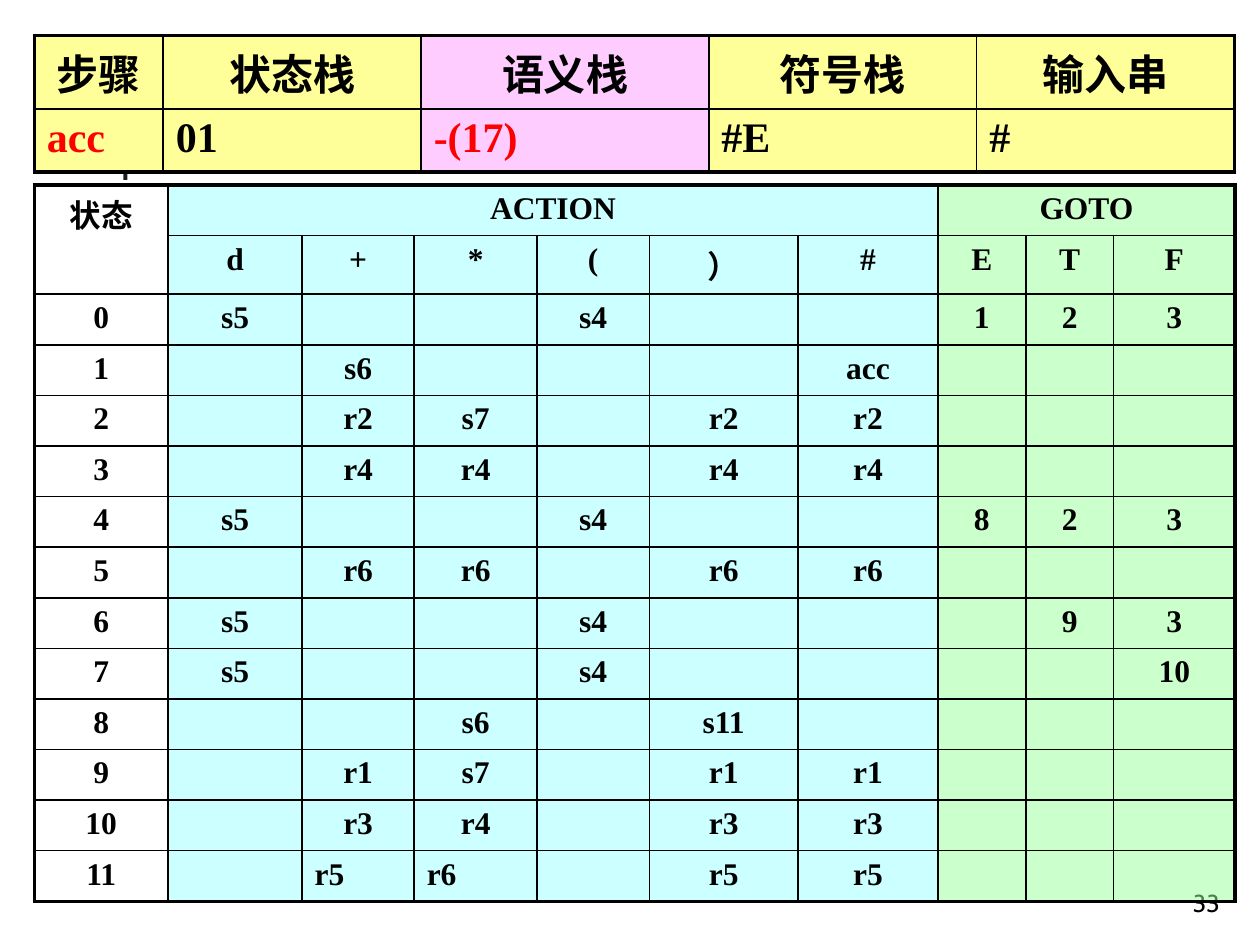
import pptx
import pptx.util
import pptx.dml.color
import pptx.enum.shapes
import pptx.enum.text
import pptx.oxml.ns
from lxml import etree

Cm, Pt = pptx.util.Cm, pptx.util.Pt
RGB = pptx.dml.color.RGBColor
ALIGN = pptx.enum.text.PP_ALIGN
RECT = pptx.enum.shapes.MSO_SHAPE.RECTANGLE
qn = pptx.oxml.ns.qn

BLACK = RGB(0x00, 0x00, 0x00)
WHITE = RGB(0xFF, 0xFF, 0xFF)
INK = RGB(0x1C, 0x1C, 0x1C)
RED = RGB(0xFF, 0x00, 0x00)
GOLD = RGB(0xFF, 0xCF, 0x01)
BLUE = RGB(0x33, 0x33, 0xCC)
YELLOW = RGB(0xFF, 0xFF, 0x99)
PINK = RGB(0xFF, 0xCC, 0xFF)
CYAN = RGB(0xCC, 0xFF, 0xFF)
GREEN = RGB(0x99, 0xFF, 0x99)
FONT = "Times New Roman"

# Theme motif: left, top, width, height, colours, gradient angle
MOTIF = [
    (1.55, 1.02, 1.22, 1.32, [GOLD], 0),
    (2.62, 1.02, 0.91, 1.32, [GOLD, WHITE], 0),
    (1.88, 2.18, 1.17, 1.32, [BLUE], 0),
    (2.92, 2.18, 1.02, 1.32, [BLUE, WHITE], 0),
    (0.74, 1.98, 1.55, 1.17, [WHITE, RED], 45),
    (2.49, 0.71, 0.08, 2.92, [INK], 0),
    (1.63, 2.92, 22.86, 0.08, [INK, WHITE], 0),
]

# Content: the parser stacks
STACK = [
    ["步骤", "状态栈", "语义栈", "符号栈", "输入串"],
    ["acc", "01", "-(17)", "#E", "#"],
]
STACK_COLS = [2.6, 5.2, 5.8, 5.4, 5.2]
STACK_FILLS = [YELLOW, YELLOW, PINK, YELLOW, YELLOW]
STACK_HIGHS = [1.48, 1.27]
RED_TEXT = ("acc", "-(17)")

# Content: the SLR table, one state a row
HEADS = [
    ["状态", "ACTION", "", "", "", "", "", "GOTO", "", ""],
    ["", "d", "+", "*", "(", "）", "#", "E", "T", "F"],
]
STATES = [
    ["s5", "", "", "s4", "", "", "1", "2", "3"],
    ["", "s6", "", "", "", "acc", "", "", ""],
    ["", "r2", "s7", "", "r2", "r2", "", "", ""],
    ["", "r4", "r4", "", "r4", "r4", "", "", ""],
    ["s5", "", "", "s4", "", "", "8", "2", "3"],
    ["", "r6", "r6", "", "r6", "r6", "", "", ""],
    ["s5", "", "", "s4", "", "", "", "9", "3"],
    ["s5", "", "", "s4", "", "", "", "", "10"],
    ["", "", "s6", "", "s11", "", "", "", ""],
    ["", "r1", "s7", "", "r1", "r1", "", "", ""],
    ["", "r3", "r4", "", "r3", "r3", "", "", ""],
    ["", "r5", "r6", "", "r5", "r5", "", "", ""],
]
PARSE = HEADS + [[str(n)] + row for n, row in enumerate(STATES)]
PARSE_COLS = [2.7, 2.7, 2.26, 2.48, 2.26, 3, 2.82, 1.77, 1.77, 2.45]
PARSE_FILLS = [None] + [CYAN] * 6 + [GREEN] * 3
PARSE_HIGHS = [1.02, 1.18] + [1.02] * len(STATES)
# First cell of a merge: its last cell
MERGES = {(0, 0): (1, 0), (0, 1): (0, 6), (0, 7): (0, 9)}
LEFT_CELLS = [(13, 2), (13, 3)]


def add_block(slide, left, top, width, high, colors, angle):
    block = slide.shapes.add_shape(RECT, Cm(left), Cm(top), Cm(width), Cm(high))
    block.shadow.inherit = False
    block.line.fill.background()
    if len(colors) == 1:
        block.fill.solid()
        block.fill.fore_color.rgb = colors[0]
        return
    block.fill.gradient()
    block.fill.gradient_angle = angle
    for stop, color in zip(block.fill.gradient_stops, colors):
        stop.color.rgb = color


def set_edge(cell, side, width):
    line = etree.SubElement(cell._tc.get_or_add_tcPr(), qn("a:" + side),
                            w=str(Pt(width)))
    fill = etree.SubElement(line, qn("a:solidFill"))
    etree.SubElement(fill, qn("a:srgbClr"), val=str(BLACK))


def set_fill(cell, color):
    if color is None:
        cell.fill.background()
        return
    cell.fill.solid()
    cell.fill.fore_color.rgb = color
    if color == GREEN:
        tint = cell._tc.tcPr.find(qn("a:solidFill"))[0]
        etree.SubElement(tint, qn("a:alpha"), val="50000")


def set_text(cell, text, size, color, align):
    cell.text_frame.text = text
    para = cell.text_frame.paragraphs[0]
    para.alignment = align
    for run in para.runs:
        run.font.name, run.font.size = FONT, Pt(size)
        run.font.bold, run.font.color.rgb = True, color
    if not text:
        # An empty cell keeps the line height of its row
        end = etree.SubElement(para._p, qn("a:endParaRPr"), sz=str(size * 100))
        etree.SubElement(end, qn("a:latin"), typeface=FONT)


def add_grid(slide, rows, cols, fills, top, highs, size, lefts, merges):
    last, end = len(rows) - 1, len(cols) - 1
    frame = slide.shapes.add_table(last + 1, end + 1, Cm(0.69), Cm(top),
                                   Cm(sum(cols)), Cm(sum(highs)))
    grid = frame.table
    grid.first_row = grid.horz_banding = False
    for col, width in zip(grid.columns, cols):
        col.width = Cm(width)
    for row, high in zip(grid.rows, highs):
        row.height = Cm(high)
    for r, row in enumerate(rows):
        for c, text in enumerate(row):
            cell = grid.cell(r, c)
            low, right = merges.get((r, c), (r, c))
            # Thick outer frame, thin inner lines
            outer = {"lnL": c == 0, "lnR": right == end,
                     "lnT": r == 0, "lnB": low == last}
            for side, thick in outer.items():
                set_edge(cell, side, 2.25 if thick else 1)
            set_fill(cell, fills[c])
            set_text(cell, text, size, RED if (r == 1 and text in RED_TEXT) else BLACK,
                     ALIGN.LEFT if (r, c) in lefts else ALIGN.CENTER)
    for first, final in merges.items():
        grid.cell(*first).merge(grid.cell(*final))


deck = pptx.Presentation()
deck.slide_width, deck.slide_height = Cm(25.4), Cm(19.05)
slide = deck.slides.add_slide(deck.slide_layouts[6])

# Theme motif behind the stacks
for item in MOTIF:
    add_block(slide, *item)

# Page number
box = slide.shapes.add_textbox(Cm(19.56), Cm(17.35), Cm(5.28), Cm(1.27))
box.text_frame.word_wrap = True
box.text_frame.vertical_anchor = pptx.enum.text.MSO_ANCHOR.BOTTOM
box.text_frame.text = "33"
para = box.text_frame.paragraphs[0]
para.alignment = ALIGN.RIGHT
font = para.runs[0].font
font.name, font.size, font.color.rgb = "Cabin", Pt(14), BLACK

# Tables
add_grid(slide, STACK, STACK_COLS, STACK_FILLS, 0.72, STACK_HIGHS, 24,
         [(1, c) for c in range(len(STACK_COLS))], {})
add_grid(slide, PARSE, PARSE_COLS, PARSE_FILLS, 3.73, PARSE_HIGHS, 18,
         LEFT_CELLS, MERGES)

deck.save("out.pptx")
